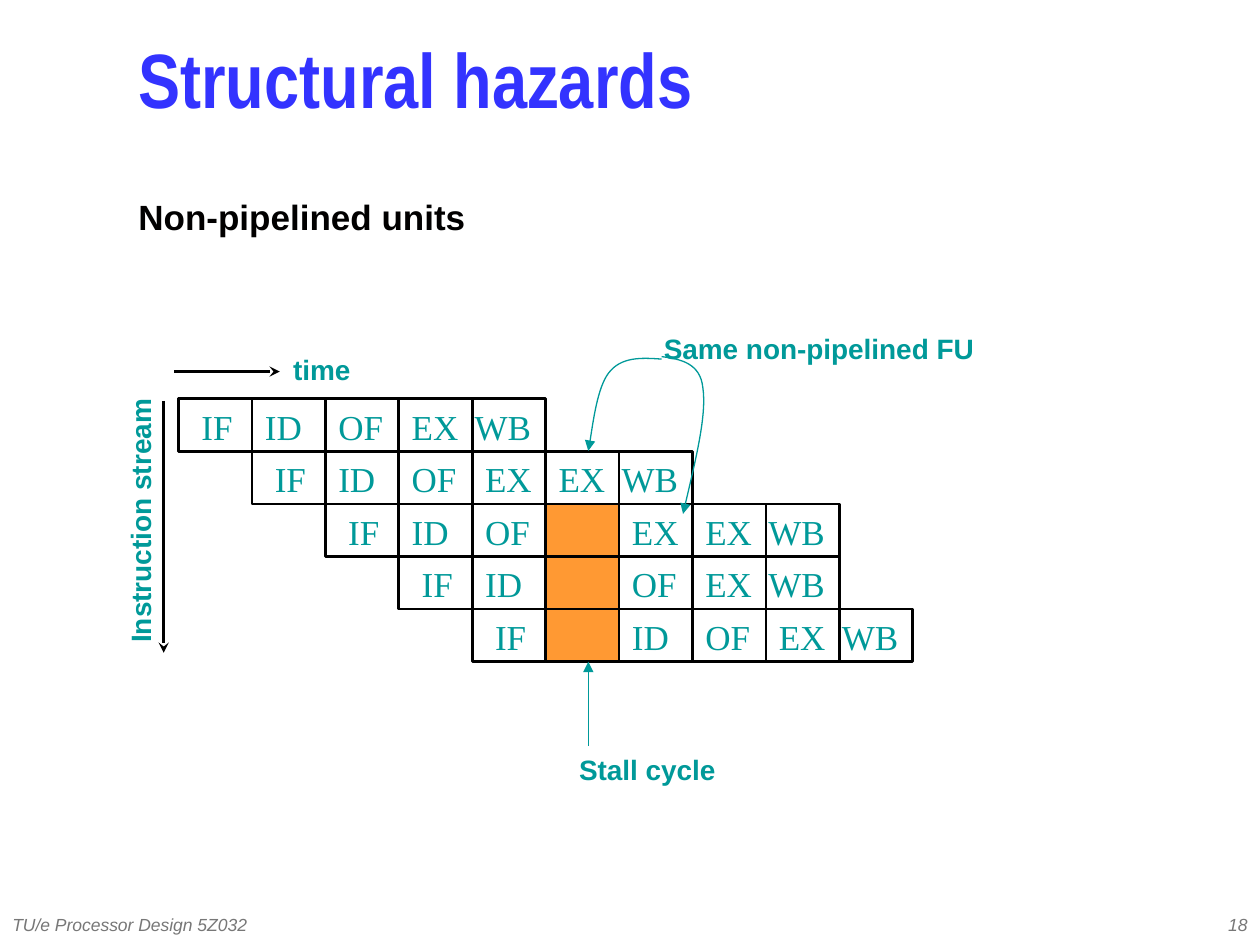
from dataclasses import dataclass

from lxml import etree
from pptx import Presentation
from pptx.dml.color import RGBColor
from pptx.enum.shapes import MSO_CONNECTOR, MSO_SHAPE
from pptx.enum.text import MSO_ANCHOR, MSO_AUTO_SIZE, PP_ALIGN
from pptx.oxml.ns import qn
from pptx.shapes.base import BaseShape
from pptx.slide import Slide
from pptx.text.text import TextFrame
from pptx.util import Cm, Pt

STRAIGHT = MSO_CONNECTOR.STRAIGHT
RECTANGLE = MSO_SHAPE.RECTANGLE
TOP, MIDDLE = MSO_ANCHOR.TOP, MSO_ANCHOR.MIDDLE
FIT_SHAPE = MSO_AUTO_SIZE.SHAPE_TO_FIT_TEXT
LEFT, CENTER, RIGHT = PP_ALIGN.LEFT, PP_ALIGN.CENTER, PP_ALIGN.RIGHT

BLACK, TEAL, ORANGE, GREY, BLUE = "000000", "009999", "FF9933", "777777", "3333FF"

GRID_LEFT, GRID_TOP = 3.6, 8.04
CYCLE_WIDTH, ROW_HEIGHT = 1.48, 1.06
STALL = ""
STAGE_INSETS = {"IF": 0.46, "WB": 0.05}
INSTRUCTIONS = (
    ("IF", "ID", "OF", "EX", "WB"),
    ("IF", "ID", "OF", "EX", "EX", "WB"),
    ("IF", "ID", "OF", STALL, "EX", "EX", "WB"),
    ("IF", "ID", STALL, "OF", "EX", "WB"),
    ("IF", STALL, "ID", "OF", "EX", "WB"),
)


@dataclass(frozen=True)
class Style:
    """Font settings of a run."""

    font: str
    size: float
    color: str
    bold: bool = False
    italic: bool = False


@dataclass(frozen=True)
class Caption:
    """A text box, with lengths in centimetres."""

    text: str
    left: float
    top: float
    width: float
    height: float
    style: Style
    align: PP_ALIGN = LEFT
    anchor: MSO_ANCHOR = MIDDLE
    wrap: bool = True
    rotation: float = 0
    line_spacing: float = 1.0


@dataclass(frozen=True)
class Arrow:
    """A straight arrow, with lengths in centimetres."""

    start: tuple[float, float]
    end: tuple[float, float]
    color: str
    width: float
    head: str


HEADING = Style("Arial Narrow", 44, BLUE, bold=True)
SUBHEADING = Style("Arial", 20, "010000", bold=True)
LABEL = Style("Arial", 16, TEAL, bold=True)
STAGE = Style("Times New Roman", 20, TEAL)
FOOTER = Style("Arial", 10, GREY, italic=True)

CAPTIONS = (
    Caption("Structural hazards", 2.54, 0.43, 21.79, 2.74, HEADING, line_spacing=0.7),
    Caption("Non-pipelined units", 2.54, 3.81, 21.79, 1.85, SUBHEADING, anchor=TOP),
    Caption("time", 5.54, 6.98, 1.9, 0.94, LABEL, CENTER, wrap=False),
    Caption("Instruction stream", 0.1, 10.03, 5.44, 0.94, LABEL, CENTER, rotation=270),
    Caption("Same non-pipelined FU", 13.01, 6.55, 7, 0.94, LABEL, CENTER, wrap=False),
    Caption("Stall cycle", 11.3, 15.04, 3.5, 0.94, LABEL, CENTER, wrap=False),
    Caption("18", 20.12, 18.21, 5.28, 0.84, FOOTER, RIGHT),
    Caption("TU/e Processor Design 5Z032", 0, 18.21, 5.28, 0.84, FOOTER),
)
ARROWS = (
    Arrow((3.51, 7.49), (5.64, 7.49), BLACK, 1.5, "stealth"),
    Arrow((3.3, 8.08), (3.3, 13.16), BLACK, 1.5, "stealth"),
    Arrow((11.86, 15.04), (11.86, 13.34), TEAL, 0.75, "triangle"),
)
SHARED_UNIT_CURVES = (
    ((13.34, 7.24), (12.93, 7.21), (12.52, 7.19), (12.27, 7.52),
     (12.04, 7.82), (11.91, 8.84), (11.86, 9.09)),
    ((13.34, 7.19), (13.72, 7.24), (14.12, 7.32), (14.17, 7.82),
     (14.25, 8.36), (14, 9.37), (13.77, 10.36)),
)


def rgb(color: str) -> RGBColor:
    """Turn a hex string into a colour."""
    return RGBColor.from_string(color)


def write(frame: TextFrame, text: str, style: Style, align: PP_ALIGN = LEFT,
          line_spacing: float = 1.0) -> None:
    """Write one styled run into the first paragraph of a frame."""
    paragraph = frame.paragraphs[0]
    paragraph.alignment = align
    if line_spacing != 1.0:
        paragraph.line_spacing = line_spacing
    run = paragraph.add_run()
    run.text = text
    run.font.name = style.font
    run.font.size = Pt(style.size)
    run.font.bold = style.bold
    run.font.italic = style.italic
    run.font.color.rgb = rgb(style.color)


def draw_caption(slide: Slide, caption: Caption) -> None:
    """Draw a text box."""
    box = slide.shapes.add_textbox(Cm(caption.left), Cm(caption.top),
                                   Cm(caption.width), Cm(caption.height))
    box.rotation = caption.rotation
    frame = box.text_frame
    frame.word_wrap = caption.wrap
    frame.vertical_anchor = caption.anchor
    if caption.style is LABEL:
        frame.auto_size = FIT_SHAPE
    write(frame, caption.text, caption.style, caption.align, caption.line_spacing)


def draw_stage(slide: Slide, stage: str, cycle: int, row: int) -> None:
    """Draw one pipeline stage, or a filled cell for a stall."""
    cell = slide.shapes.add_shape(
        RECTANGLE, Cm(GRID_LEFT + cycle * CYCLE_WIDTH), Cm(GRID_TOP + row * ROW_HEIGHT),
        Cm(CYCLE_WIDTH), Cm(ROW_HEIGHT))
    cell.shadow.inherit = False
    cell.line.color.rgb = rgb(BLACK)
    cell.line.width = Pt(1.5)
    if stage == STALL:
        cell.fill.solid()
        cell.fill.fore_color.rgb = rgb(ORANGE)
        return
    cell.fill.background()
    frame = cell.text_frame
    frame.word_wrap = True
    frame.vertical_anchor = TOP
    frame.margin_left = Cm(STAGE_INSETS.get(stage, 0.26))
    frame.margin_right = 0
    write(frame, stage, STAGE)


def style_arrow(shape: BaseShape, color: str, width: float, head: str) -> None:
    """Set the line and arrowhead of an arrow."""
    shape.line.color.rgb = rgb(color)
    shape.line.width = Pt(width)
    etree.SubElement(shape.line._get_or_add_ln(), qn("a:tailEnd"), type=head)


def draw_arrow(slide: Slide, arrow: Arrow) -> None:
    """Draw a straight arrow without a shadow."""
    connector = slide.shapes.add_connector(
        STRAIGHT, *(Cm(length) for length in (*arrow.start, *arrow.end)))
    style_arrow(connector, arrow.color, arrow.width, arrow.head)
    etree.SubElement(connector._element.spPr, qn("a:effectLst"))


def draw_curve(slide: Slide, points: tuple[tuple[float, float], ...]) -> None:
    """Draw a curved arrow from a start point and triples of Bézier points."""
    start, *rest = [(Cm(x), Cm(y)) for x, y in points]
    builder = slide.shapes.build_freeform(*start)
    builder.add_line_segments(rest, close=False)
    curve = builder.convert_to_shape()
    curve.shadow.inherit = False
    curve.fill.background()
    segments = list(curve._element.iter(qn("a:lnTo")))
    for first in range(0, len(segments), 3):
        bezier, *others = segments[first:first + 3]
        bezier.tag = qn("a:cubicBezTo")
        for other in others:
            bezier.append(other[0])
            other.getparent().remove(other)
    style_arrow(curve, TEAL, 0.75, "triangle")


def main() -> None:
    """Build the slide and save it."""
    presentation = Presentation()
    presentation.slide_width, presentation.slide_height = Cm(25.4), Cm(19.05)
    slide = presentation.slides.add_slide(presentation.slide_layouts[6])
    for row, stages in enumerate(INSTRUCTIONS):
        for cycle, stage in enumerate(stages, start=row):
            draw_stage(slide, stage, cycle, row)
    for arrow in ARROWS:
        draw_arrow(slide, arrow)
    for curve in SHARED_UNIT_CURVES:
        draw_curve(slide, curve)
    for caption in CAPTIONS:
        draw_caption(slide, caption)
    presentation.save("out.pptx")


if __name__ == "__main__":
    main()
